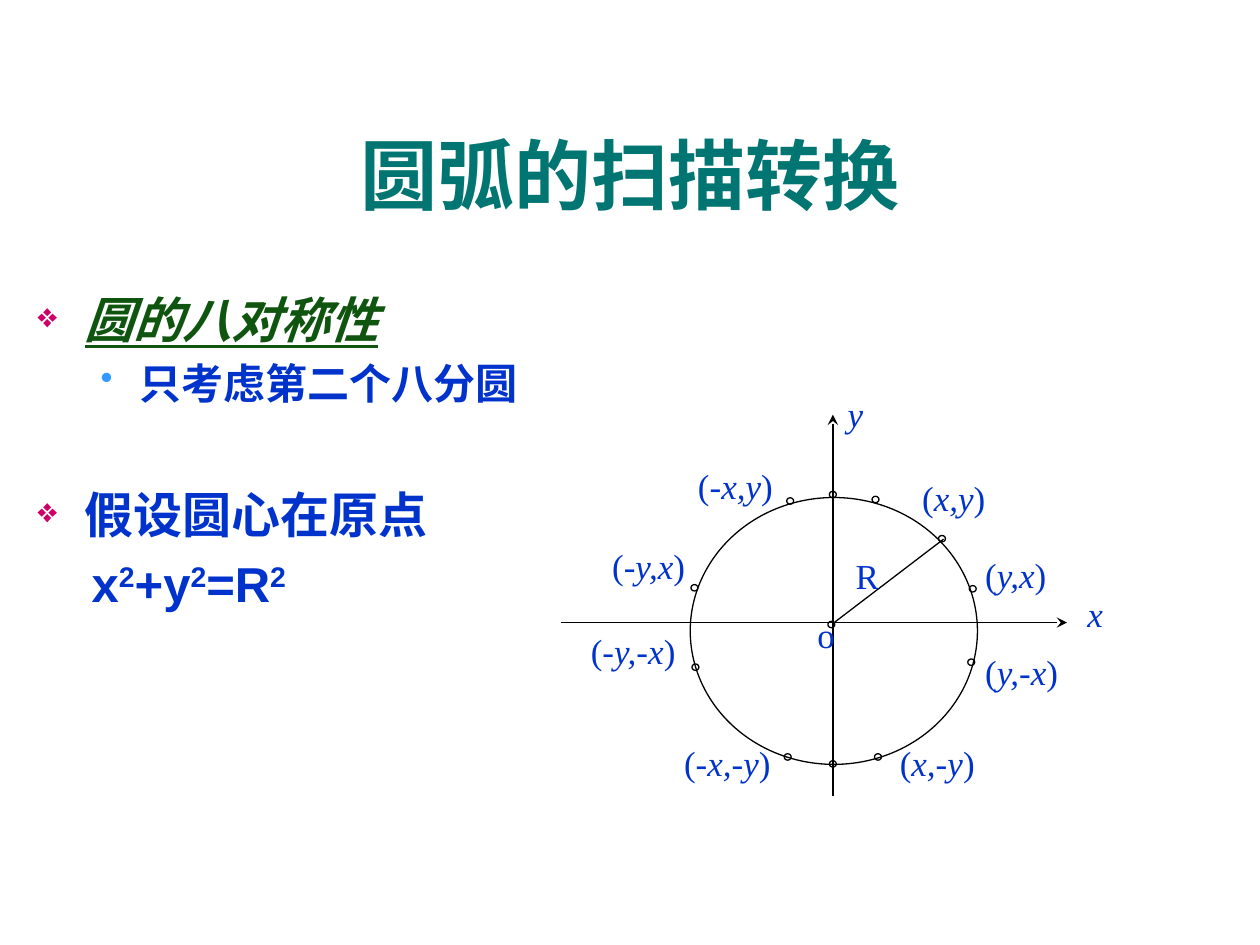
from lxml import etree
from pptx import Presentation
from pptx.dml.color import RGBColor
from pptx.enum.shapes import MSO_CONNECTOR, MSO_SHAPE
from pptx.enum.text import MSO_ANCHOR, PP_ALIGN
from pptx.oxml.ns import qn
from pptx.util import Cm, Pt

LINE = MSO_CONNECTOR.STRAIGHT
OVAL = MSO_SHAPE.OVAL
MID, TOP = MSO_ANCHOR.MIDDLE, MSO_ANCHOR.TOP
CENTER, JUST = PP_ALIGN.CENTER, PP_ALIGN.JUSTIFY

HEX = {"title": "007572", "topic": "0F550F", "text": "0033CC",
       "mark": "CC0066", "dot": "3399FF", "line": "000000"}
SANS, SERIF = "Arial", "Times New Roman"

# Circle points: centre, poles, eight symmetric points (cm)
DOTS = [(16.76, 12.59), (16.79, 9.97), (16.79, 15.4), (15.88, 15.26),
        (17.7, 15.26), (17.65, 10.07), (15.93, 10.1), (19.58, 13.35),
        (19.61, 11.87), (14, 11.85), (14.02, 13.45), (18.99, 10.86)]

# Labels: left, top, width, upright head, italic part, upright tail
LABELS = [(17.09, 7.92, 0.76, "", "y", ""),
          (21.92, 11.94, 1.04, "", "x", ""),
          (14.07, 9.37, 2.18, "(-", "x,y", ")"),
          (18.59, 9.6, 1.7, "(", "x,y", ")"),
          (12.34, 10.97, 1.9, "(-", "y,x", ")"),
          (19.86, 11.15, 1.7, "(", "y,x", ")"),
          (19.86, 13.11, 1.9, "(", "y,-x", ")"),
          (11.91, 12.7, 2.2, "(-", "y,-x", ")"),
          (13.79, 14.94, 2.2, "(-", "x,-y", ")"),
          (18.14, 14.94, 2, "(", "x,-y", ")"),
          (17.25, 11.18, 0.69, "R", "", "")]


def color(key):
    return RGBColor.from_string(HEX[key])


def add_box(shapes, x, y, w, h, pad=0.0, anchor=TOP):
    box = shapes.add_textbox(Cm(x), Cm(y), Cm(w), Cm(h))
    frame = box.text_frame
    frame.word_wrap = True
    frame.vertical_anchor = anchor
    frame.margin_left = frame.margin_right = Cm(pad)
    frame.margin_top = frame.margin_bottom = Cm(pad / 2)
    return frame


def add_run(para, text, size, key="text", face=SANS, bold=True,
            slant=False, under=False, lift=False):
    run = para.add_run()
    run.text = text
    font = run.font
    font.size, font.name = Pt(size), face
    font.bold, font.italic, font.underline = bold, slant, under
    font.color.rgb = color(key)
    if lift:
        run._r.get_or_add_rPr().set("baseline", "30000")


def set_para(para, gap, left, hang=0.0, mark=None):
    """Set spacing and indent; mark is (sign, colour key, percent)."""
    para.alignment = JUST
    para.space_before = Pt(gap)
    props = para._p.get_or_add_pPr()
    props.set("marL", str(Cm(left)))
    props.set("indent", str(-Cm(hang)))
    if mark:
        sign, key, size = mark
        tint = etree.SubElement(props, qn("a:buClr"))
        etree.SubElement(tint, qn("a:srgbClr"), val=HEX[key])
        etree.SubElement(props, qn("a:buSzPct"), val=str(size * 1000))
        etree.SubElement(props, qn("a:buChar"), char=sign)


def add_line(shapes, x1, y1, x2, y2, arrow=False):
    line = shapes.add_connector(LINE, Cm(x1), Cm(y1), Cm(x2), Cm(y2))
    line.line.color.rgb = color("line")
    line.line.width = Pt(0.75)
    if arrow:
        etree.SubElement(line.line._get_or_add_ln(), qn("a:tailEnd"),
                         type="stealth")
    etree.SubElement(line._element.spPr, qn("a:effectLst"))


def add_ring(shapes, x, y, w, h):
    """Draw an unfilled ellipse around its centre."""
    ring = shapes.add_shape(OVAL, Cm(x - w / 2), Cm(y - h / 2), Cm(w), Cm(h))
    ring.shadow.inherit = False
    ring.fill.background()
    ring.line.color.rgb = color("line")
    ring.line.width = Pt(0.75)


def add_label(shapes, x, y, w, head, slope, tail, align=JUST):
    para = add_box(shapes, x, y, w, 1.1).paragraphs[0]
    para.alignment = align
    for text, slant in ((head, False), (slope, True), (tail, False)):
        if text:
            add_run(para, text, 20, face=SERIF, bold=False, slant=slant)


def add_body(shapes):
    frame = add_box(shapes, 0.51, 5.72, 15.24, 8, pad=0.25)
    star, dot = ("❖", "mark", 70), ("•", "dot", 85)

    para = frame.paragraphs[0]
    set_para(para, 5.6, 0.95, 0.95, star)
    add_run(para, "圆的八对称性", 28, "topic", slant=True, under=True)

    para = frame.add_paragraph()
    set_para(para, 4.8, 2.06, 0.79, dot)
    add_run(para, "只考虑第二个八分圆", 24)

    para = frame.add_paragraph()
    set_para(para, 44, 0.95, 0.95, star)
    add_run(para, "假设圆心在原点", 28)

    # Circle equation
    para = frame.add_paragraph()
    set_para(para, 5.6, 1.09)
    for text in ("x", "+y", "=R"):
        add_run(para, text, 28)
        add_run(para, "2", 28, lift=True)


def add_graph(shapes):
    # Axes, circle and radius
    add_line(shapes, 11.3, 12.55, 21.51, 12.55, arrow=True)
    add_line(shapes, 16.79, 16.05, 16.79, 8.36, arrow=True)
    add_ring(shapes, 16.81, 12.72, 5.79, 5.38)
    add_line(shapes, 16.79, 12.57, 19.02, 10.87)

    # Points and labels
    for x, y in DOTS:
        add_ring(shapes, x, y, 0.14, 0.13)
    for label in LABELS:
        add_label(shapes, *label)
    add_label(shapes, 15.93, 12.37, 1.45, "o", "", "", CENTER)


def main():
    deck = Presentation()
    deck.slide_width, deck.slide_height = Cm(25.4), Cm(19.05)
    shapes = deck.slides.add_slide(deck.slide_layouts[6]).shapes

    # Title
    frame = add_box(shapes, 0.84, 1.91, 23.72, 3.18, pad=0.25, anchor=MID)
    frame.paragraphs[0].alignment = CENTER
    add_run(frame.paragraphs[0], "圆弧的扫描转换", 44, "title")

    add_body(shapes)
    add_graph(shapes.add_group_shape().shapes)
    deck.save("out.pptx")


if __name__ == "__main__":
    main()
